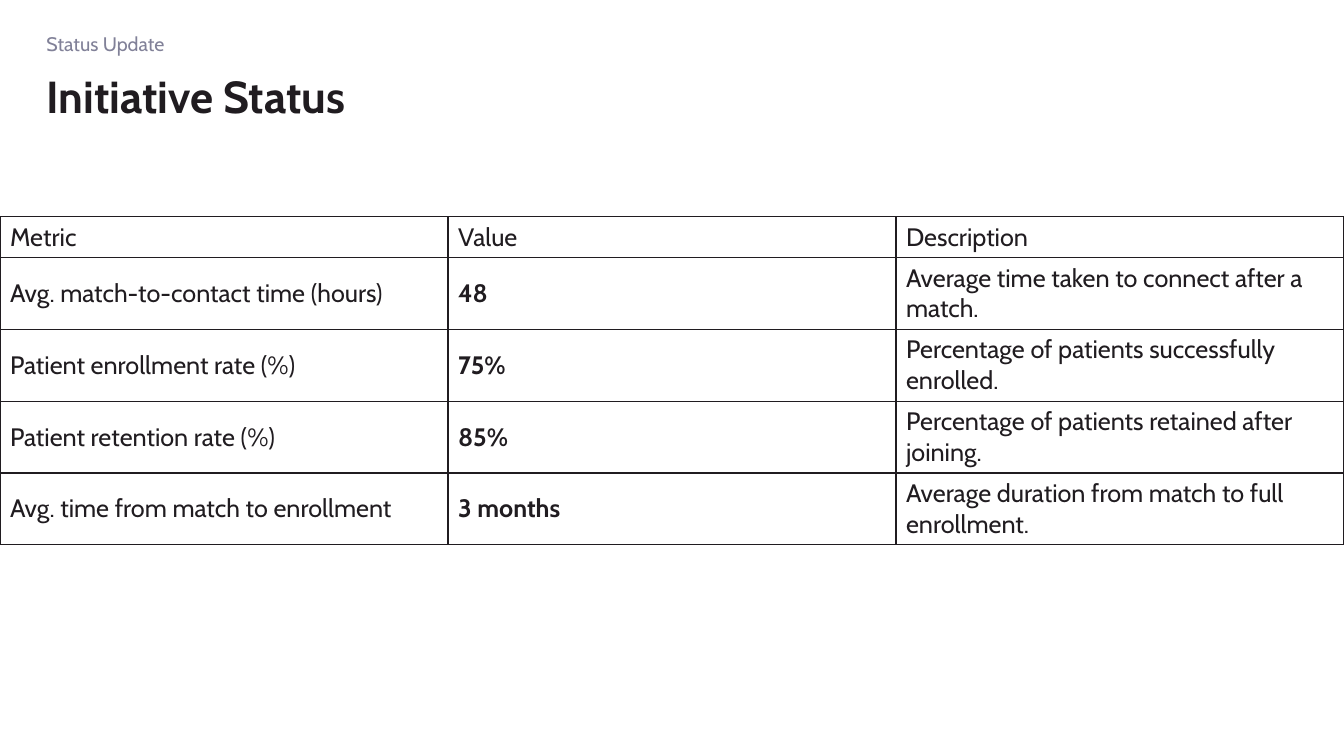
import pptx
import pptx.dml.color
import pptx.enum.text
import pptx.oxml
import pptx.oxml.ns
import pptx.util

Cm = pptx.util.Cm
Pt = pptx.util.Pt
RGBColor = pptx.dml.color.RGBColor
Anchor = pptx.enum.text.MSO_ANCHOR

# Content
SECTION = "Status Update"
TITLE = "Initiative Status"
METRICS = [
    ("Metric", "Value", "Description"),
    ("Avg. match-to-contact time (hours)", "48",
     "Average time taken to connect after a match."),
    ("Patient enrollment rate (%)", "75%",
     "Percentage of patients successfully enrolled."),
    ("Patient retention rate (%)", "85%",
     "Percentage of patients retained after joining."),
    ("Avg. time from match to enrollment", "3 months",
     "Average duration from match to full enrollment."),
]

# Style
FONT = "Cabin"
INK = RGBColor(0x20, 0x1C, 0x20)
MUTED = RGBColor(0x81, 0x81, 0x98)
PAGE_WIDTH, PAGE_HEIGHT = Cm(33.87), Cm(19.05)
LEFT = Cm(1.17)
TABLE_TOP = Cm(5.46)
HEADER_HEIGHT, ROW_HEIGHT = Cm(1.03), Cm(1.81)
VALUE_COLUMN = 1


def format_text(frame, size, color, bold=False):
    for para in frame.paragraphs:
        for span in para.runs:
            span.font.name = FONT
            span.font.size = Pt(size)
            span.font.bold = bold
            span.font.color.rgb = color


def set_heading(box, text, size, color, bold=False):
    frame = box.text_frame
    frame.text = text
    frame.word_wrap = True
    frame.vertical_anchor = Anchor.TOP
    frame.margin_left = 0
    frame.paragraphs[0].alignment = pptx.enum.text.PP_ALIGN.LEFT
    format_text(frame, size, color, bold)


def add_borders(cell):
    properties = cell._tc.get_or_add_tcPr()
    namespace = pptx.oxml.ns.nsdecls("a")
    for position, side in enumerate(("lnL", "lnR", "lnT", "lnB")):
        border = pptx.oxml.parse_xml(
            f'<a:{side} {namespace} w="{Pt(1)}"><a:solidFill>'
            f'<a:srgbClr val="{INK}"/></a:solidFill></a:{side}>')
        properties.insert(position, border)


deck = pptx.Presentation()
deck.slide_width, deck.slide_height = PAGE_WIDTH, PAGE_HEIGHT
page = deck.slides.add_slide(deck.slide_layouts.get_by_name("Title Only"))

# Headings
section = page.shapes.add_textbox(LEFT, Cm(0.69), Cm(9.96), Cm(1.14))
set_heading(section, SECTION, 14, MUTED)

title = page.shapes.title
title.left, title.top, title.width, title.height = LEFT, Cm(1.75), Cm(31.55), Cm(1.73)
set_heading(title, TITLE, 32, INK, bold=True)
title.text_frame.auto_size = pptx.enum.text.MSO_AUTO_SIZE.NONE
title.text_frame.paragraphs[0].line_spacing = 0.9

# Metrics table
heights = [HEADER_HEIGHT] + [ROW_HEIGHT] * (len(METRICS) - 1)
table = page.shapes.add_table(len(METRICS), len(METRICS[0]), 0, TABLE_TOP,
                              PAGE_WIDTH, sum(heights)).table
table.first_row = table.horz_banding = False
for row_number, (row, height) in enumerate(zip(METRICS, heights)):
    table.rows[row_number].height = height
    for column_number, text in enumerate(row):
        cell = table.cell(row_number, column_number)
        cell.text_frame.text = text
        cell.vertical_anchor = Anchor.MIDDLE
        cell.fill.background()
        add_borders(cell)
        format_text(cell.text_frame, 18, INK,
                    bold=row_number > 0 and column_number == VALUE_COLUMN)

deck.save("out.pptx")
